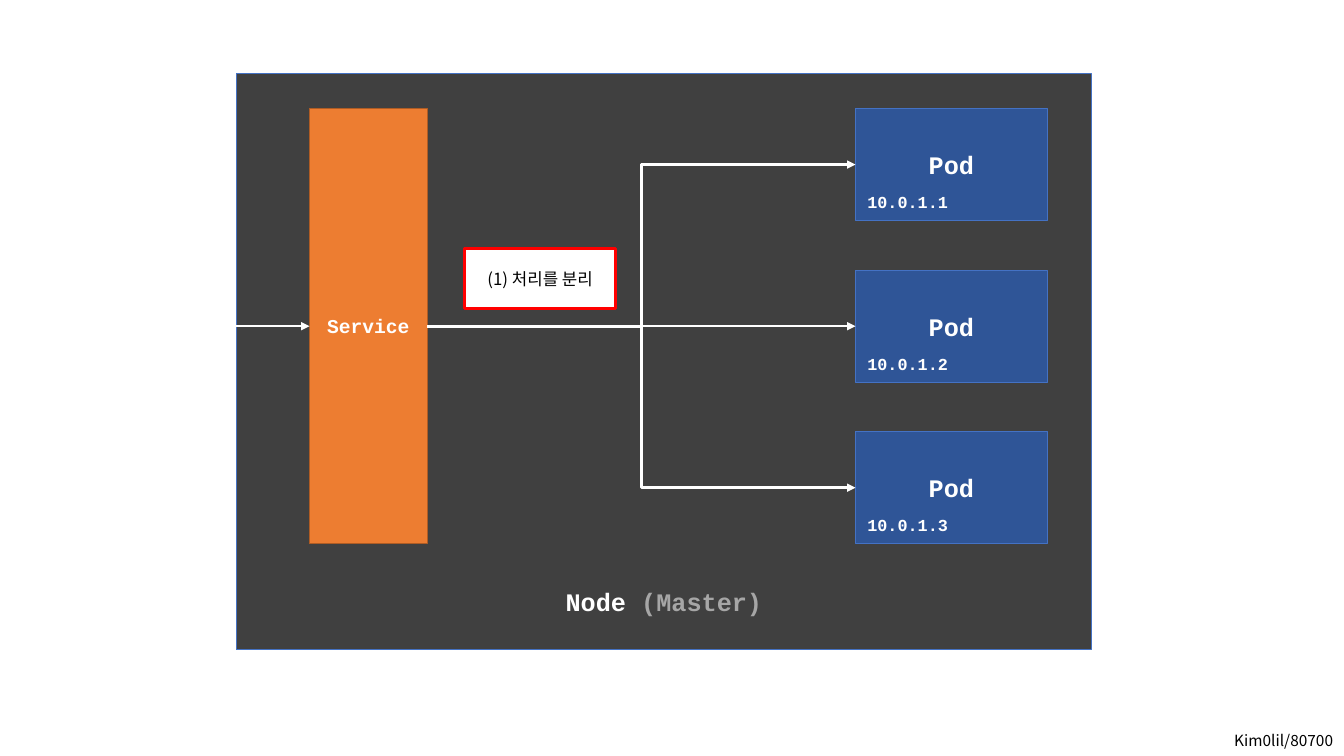
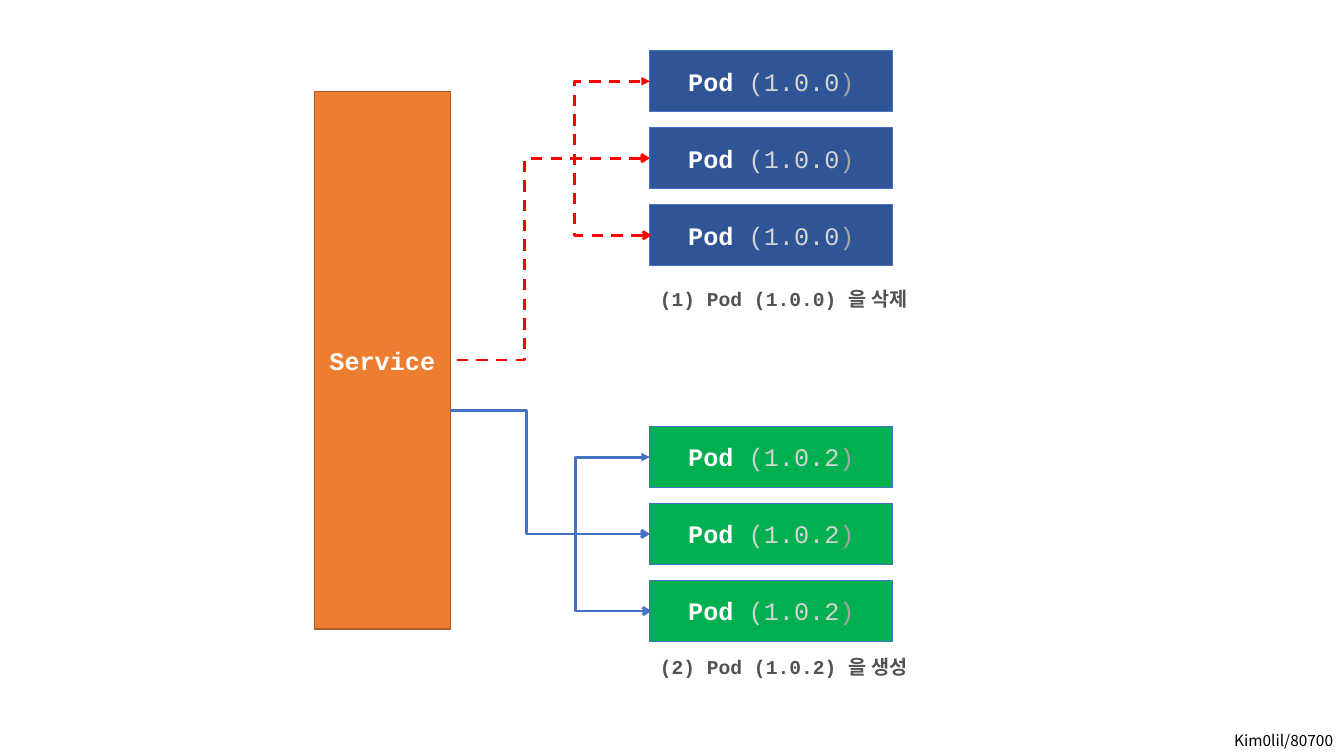
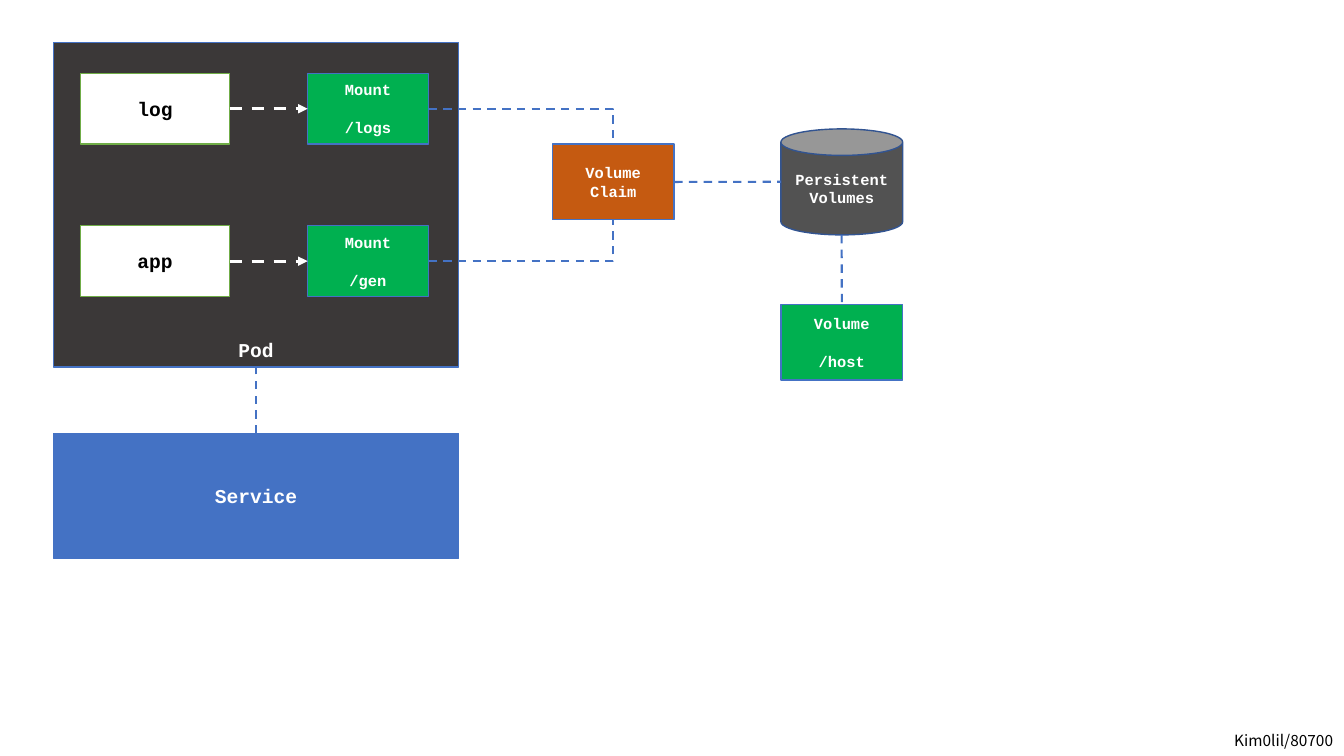
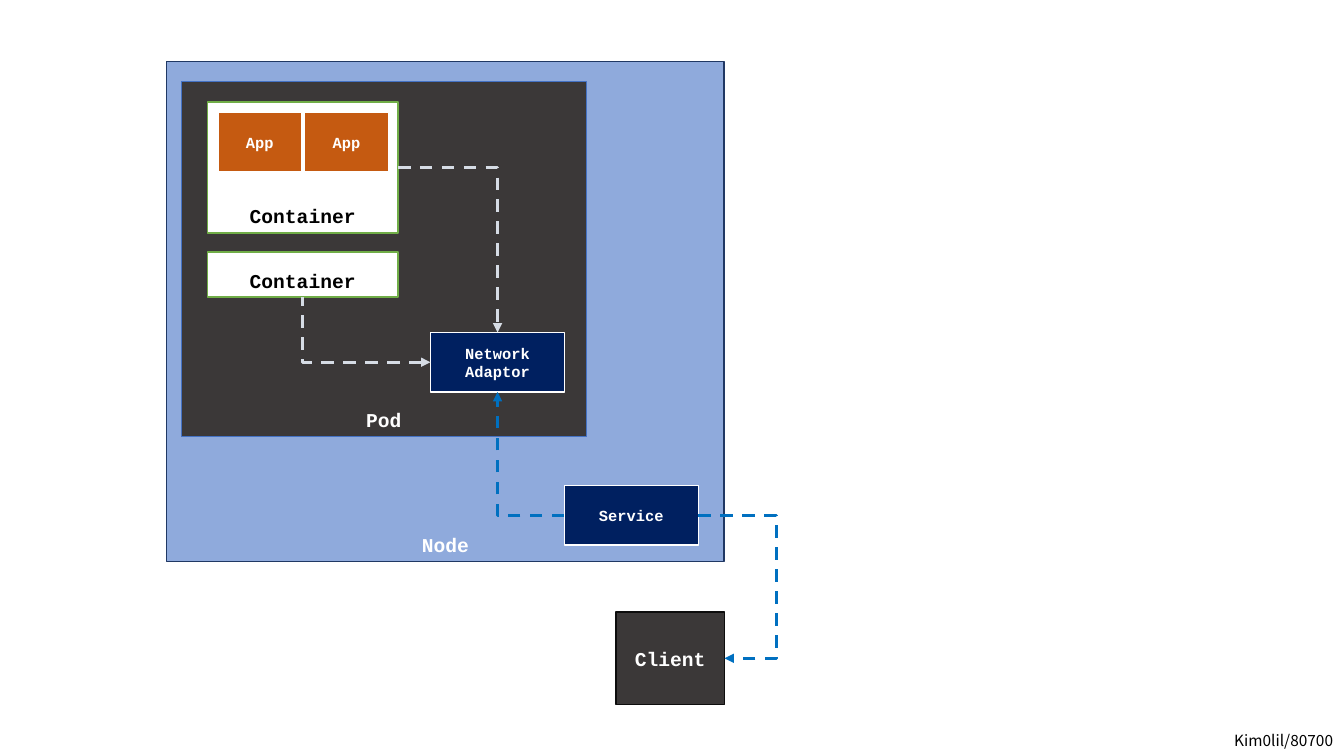
from lxml import etree
from pptx import Presentation
from pptx.dml.color import RGBColor
from pptx.enum.dml import MSO_LINE
from pptx.enum.shapes import MSO_CONNECTOR, MSO_SHAPE
from pptx.enum.text import MSO_ANCHOR, PP_ALIGN
from pptx.oxml.ns import qn
from pptx.util import Cm, Pt

RECT, CAN = MSO_SHAPE.RECTANGLE, MSO_SHAPE.CAN
STRAIGHT, ELBOW = MSO_CONNECTOR.STRAIGHT, MSO_CONNECTOR.ELBOW
DASH = MSO_LINE.DASH
TOP, MIDDLE, BOTTOM = MSO_ANCHOR.TOP, MSO_ANCHOR.MIDDLE, MSO_ANCHOR.BOTTOM
LEFT, CENTER, RIGHT = PP_ALIGN.LEFT, PP_ALIGN.CENTER, PP_ALIGN.RIGHT
SIDE_TOP, SIDE_LEFT, SIDE_BOTTOM, SIDE_RIGHT = range(4)

MONO, KOREAN = "Courier New", "Noto Sans CJK KR"
WHITE, BLACK, RED = "FFFFFF", "000000", "FF0000"
BLUE, DEEP_BLUE, NAVY, LINK_BLUE = "4472C4", "2F5597", "002060", "0070C0"
ORANGE, ORANGE_EDGE, RUST = "ED7D31", "AF5C24", "C55A11"
GREEN, GREEN_EDGE = "00B050", "70AD47"
CHARCOAL, GREY, PALE = "3B3838", "525252", "D6DCE5"
rgb = RGBColor.from_string


def box(slide, place, paragraphs, fill=None, edge=None, edge_width=1, size=14,
        color=WHITE, bold=True, font=MONO, align=CENTER, anchor=MIDDLE,
        gap=0, bottom=0.13, preset=RECT):
    """Add a filled shape, or a text box if no fill is given.

    paragraphs is a list of strings or of lists of (text, color, bold) runs.
    """
    frame = [Cm(length) for length in place]
    if fill:
        shape = slide.shapes.add_shape(preset, *frame)
        shape.shadow.inherit = False
        shape.fill.solid()
        shape.fill.fore_color.rgb = rgb(fill)
        shape.line.color.rgb = rgb(edge)
        shape.line.width = Pt(edge_width)
    else:
        shape = slide.shapes.add_textbox(*frame)
    text = shape.text_frame
    text.word_wrap = True
    text.vertical_anchor = anchor
    text.margin_bottom = Cm(bottom)
    for index, runs in enumerate(paragraphs):
        paragraph = text.add_paragraph() if index else text.paragraphs[0]
        paragraph.alignment = align
        if index:
            paragraph.space_before = Pt(gap)
        if isinstance(runs, str):
            runs = [(runs, color, bold)]
        for words, run_color, run_bold in runs:
            run = paragraph.add_run()
            run.text = words
            run.font.size = Pt(size)
            run.font.bold = run_bold
            run.font.name = font
            run.font.color.rgb = rgb(run_color)
            east_asian = etree.SubElement(run.font._element, qn("a:ea"))
            east_asian.set("typeface", KOREAN)
    return shape


def link(slide, begin, end, color, width, dash=False, via=None, corner=False,
         head=None, tail=None):
    """Join two ends, each a (shape, side) pair or an (x, y) point in cm.

    via is the x of the upright part of a two-bend line; corner makes one bend,
    leaving the first end sideways.
    """
    points = [(0, 0) if not isinstance(stop[0], (int, float)) else stop
              for stop in (begin, end)]
    kind = ELBOW if via or corner else STRAIGHT
    line = slide.shapes.add_connector(
        kind, *[Cm(value) for point in points for value in point])
    if points[0] != begin:
        line.begin_connect(*begin)
    if points[1] != end:
        line.end_connect(*end)
    line.line.color.rgb = rgb(color)
    line.line.width = Pt(width)
    if dash:
        line.line.dash_style = DASH
    properties = line._element.spPr
    geometry = properties.find(qn("a:prstGeom"))
    if corner:
        geometry.set("prst", "bentConnector2")
    if via:
        share = (Cm(via) - line.begin_x) / (line.end_x - line.begin_x)
        guide = etree.SubElement(geometry.find(qn("a:avLst")), qn("a:gd"))
        guide.set("name", "adj1")
        guide.set("fmla", f"val {round(share * 100000)}")
    for tag, arrow in (("a:headEnd", head), ("a:tailEnd", tail)):
        if arrow:
            etree.SubElement(properties.find(qn("a:ln")), qn(tag)).set("type", arrow)
    etree.SubElement(properties, qn("a:effectLst"))


deck = Presentation()
deck.slide_width, deck.slide_height = Cm(33.87), Cm(19.05)

# Every slide carries the author's mark
slides = []
for _ in range(4):
    slide = deck.slides.add_slide(deck.slide_layouts[6])
    box(slide, (28.85, 18.31, 5, 0.74), ["Kim0lil/80700"], size=11, color=BLACK,
        bold=False, font=KOREAN, align=RIGHT, anchor=TOP)
    slides.append(slide)
balancing, rollout, storage, network = slides

# Slide 1: one service spreads requests over three pods
box(balancing, (5.96, 1.85, 21.54, 14.53),
    [[("Node ", WHITE, True), ("(Master)", "A6A6A6", True)]],
    "404040", BLUE, 0.75, size=18, anchor=BOTTOM, bottom=0.85)
service = box(balancing, (7.8, 2.74, 2.97, 10.96), ["Service"], ORANGE, ORANGE_EDGE)
for number in range(3):
    pod_top = 2.74 + 4.07 * number
    pod = box(balancing, (21.56, pod_top, 4.83, 2.82), ["Pod"],
              DEEP_BLUE, BLUE, 0.75, size=18)
    box(balancing, (21.39, pod_top + 1.96, 2.97, 0.79), [f"10.0.1.{number + 1}"], size=12)
    straight = number == 1
    link(balancing, (service, SIDE_RIGHT), (pod, SIDE_LEFT), WHITE,
         1.75 if straight else 2, via=None if straight else 16.16, tail="triangle")
link(balancing, (5.92, 8.22), (service, SIDE_LEFT), WHITE, 1.75, tail="triangle")
box(balancing, (11.71, 6.27, 3.81, 1.5), ["(1) 처리를 분리"], WHITE, RED, 2.25,
    size=12, color=BLACK, bold=False, font=KOREAN)

# Slide 2: old pods are removed and new ones created
box(rollout, (7.92, 2.31, 3.43, 13.54), ["Service"], ORANGE, ORANGE_EDGE, size=18)
releases = [
    # version, caption, first pod, caption top, pod fill, line, dashed, exit y, bends
    ("1.0.0", "(1) Pod (1.0.0) 을 삭제", 1.27, 7.11, DEEP_BLUE, RED, True, 9.07, 13.23, 14.48),
    ("1.0.2", "(2) Pod (1.0.2) 을 생성", 10.74, 16.38, GREEN, BLUE, False, 10.34, 13.28, 14.5),
]
for (version, caption, first_top, caption_top, fill, color, dashed,
     exit_y, service_bend, pod_bend) in releases:
    pods = [box(rollout, (16.38, first_top + 1.94 * row, 6.12, 1.55),
                [[("Pod ", WHITE, True), (f"({version}", "D4D4D4", False),
                  (")", "A6A6A6", False)]],
                fill, BLUE, 0.75, size=18)
            for row in range(3)]
    link(rollout, (pods[1], SIDE_LEFT), (11.33, exit_y), color, 2, dashed,
         via=service_bend, head="arrow")
    first_middle = first_top + 0.78
    link(rollout, (16.42, first_middle + 3.88), (16.38, first_middle), color, 2, dashed,
         via=pod_bend, head="arrow", tail="triangle")
    box(rollout, (16.38, caption_top, 9.09, 0.86), [caption], color=GREY,
        align=LEFT, anchor=TOP)

# Slide 3: containers mount a claimed volume
pod = box(storage, (1.35, 1.07, 10.21, 8.18), ["Pod"], CHARCOAL, BLUE, anchor=BOTTOM)
service = box(storage, (1.35, 10.92, 10.21, 3.15), ["Service"], BLUE, BLUE)
claim = box(storage, (13.92, 3.63, 3.07, 1.91), ["Volume Claim"], RUST, BLUE, size=11)
box(storage, (19.68, 3.25, 3.07, 2.67), ["Persistent Volumes"], GREY, "325491",
    size=11, preset=CAN)
volume = box(storage, (19.68, 7.67, 3.07, 1.91), ["Volume", "/host"], GREEN, BLUE,
             size=11, gap=14)
mounts = [("log", "/logs", 1.85, SIDE_TOP), ("app", "/gen", 5.69, SIDE_BOTTOM)]
for name, folder, row_top, claim_side in mounts:
    container = box(storage, (2.03, row_top, 3.76, 1.78), [name], WHITE, GREEN_EDGE,
                    color=BLACK)
    mount = box(storage, (7.75, row_top, 3.05, 1.78), ["Mount", folder], GREEN, BLUE,
                size=11, gap=14)
    link(storage, (container, SIDE_RIGHT), (mount, SIDE_LEFT), WHITE, 2.25, True,
         tail="triangle")
    link(storage, (mount, SIDE_RIGHT), (claim, claim_side), BLUE, 1.5, True, corner=True)
link(storage, (claim, SIDE_RIGHT), (19.68, 4.58), BLUE, 1.5, True)
link(storage, (21.21, 5.92), (volume, SIDE_TOP), BLUE, 1.5, True)
link(storage, (service, SIDE_TOP), (pod, SIDE_BOTTOM), BLUE, 1.5, True)

# Slide 4: a client reaches the pod through the service
box(network, (4.2, 1.55, 14.05, 12.6), ["Node"], "8FAADC", "203864", anchor=BOTTOM)
box(network, (4.57, 2.06, 10.21, 8.94), ["Pod"], CHARCOAL, BLUE, anchor=BOTTOM)
app_container, plain_container = [
    box(network, (5.23, top, 4.8, height), ["Container"], WHITE, GREEN_EDGE,
        color=BLACK, anchor=BOTTOM)
    for top, height in ((2.57, 3.3), (6.35, 1.14))]
for column in range(2):
    box(network, (5.49 + 2.19 * column, 2.84, 2.11, 1.5), ["App"], RUST, WHITE, size=11)
adaptor, service = [
    box(network, (left, top, 3.38, 1.5), [label], NAVY, WHITE, size=11)
    for left, top, label in ((10.85, 8.38, "Network Adaptor"), (14.22, 12.24, "Service"))]
client = box(network, (15.52, 15.42, 2.74, 2.34), ["Client"], CHARCOAL, "0D0D0D")
link(network, (app_container, SIDE_RIGHT), (adaptor, SIDE_TOP), PALE, 2.25, True,
     corner=True, tail="triangle")
link(network, (adaptor, SIDE_LEFT), (plain_container, SIDE_BOTTOM), PALE, 2.25, True,
     corner=True, head="triangle")
link(network, (service, SIDE_LEFT), (adaptor, SIDE_BOTTOM), LINK_BLUE, 2.25, True,
     corner=True, tail="triangle")
link(network, (service, SIDE_RIGHT), (client, SIDE_RIGHT), LINK_BLUE, 2.25, True,
     via=19.56, tail="triangle")

deck.save("out.pptx")
